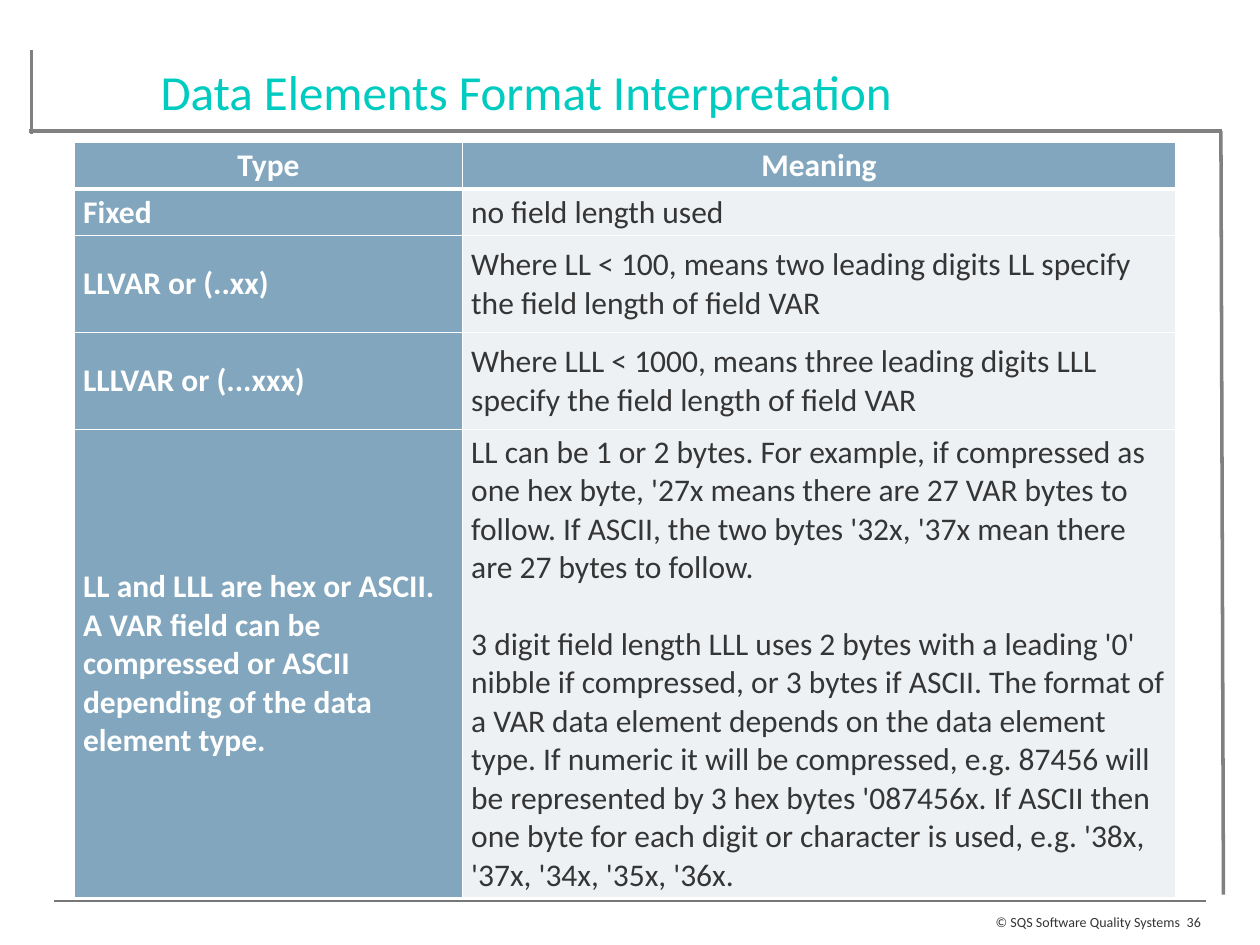
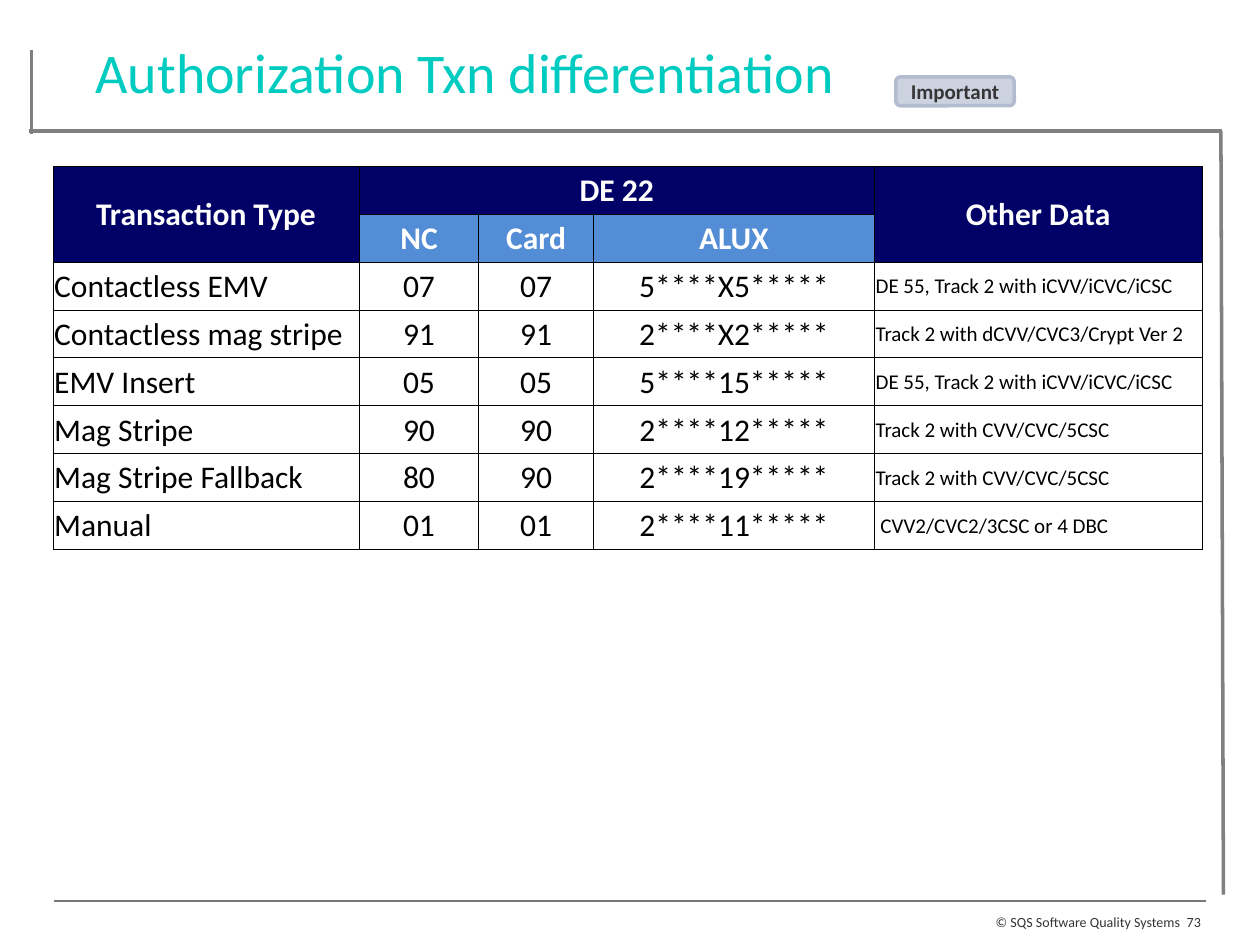
from collections import namedtuple

from lxml import etree
from pptx import Presentation
from pptx.dml.color import RGBColor
from pptx.enum.shapes import MSO_CONNECTOR, MSO_SHAPE
from pptx.enum.text import MSO_ANCHOR, PP_ALIGN
from pptx.oxml.ns import qn
from pptx.util import Inches, Pt

STRAIGHT = MSO_CONNECTOR.STRAIGHT
ROUNDED = MSO_SHAPE.ROUNDED_RECTANGLE
LEFT, CENTER, RIGHT = PP_ALIGN.LEFT, PP_ALIGN.CENTER, PP_ALIGN.RIGHT
TOP, MIDDLE = MSO_ANCHOR.TOP, MSO_ANCHOR.MIDDLE

WHITE = RGBColor(0xFF, 0xFF, 0xFF)
BLACK = RGBColor(0x00, 0x00, 0x00)
INK = RGBColor(0x35, 0x35, 0x35)
TURQUOISE = RGBColor(0x00, 0xCB, 0xC0)
FRAME_GREY = RGBColor(0x80, 0x80, 0x80)
RULE_GREY = RGBColor(0x77, 0x77, 0x77)
STEEL = RGBColor(0x81, 0xA6, 0xBD)
MIST = RGBColor(0xED, 0xF1, 0xF4)
NAVY = RGBColor(0x00, 0x00, 0x66)
SKY = RGBColor(0x53, 0x8D, 0xD5)
BADGE_FILL = RGBColor(0xCC, 0xD2, 0xDF)
BADGE_LINE = RGBColor(0xB2, 0xBB, 0xCF)

# The slide is a grid of 100 columns by 75 rows.
SLIDE_WIDTH, SLIDE_HEIGHT = Inches(10), Inches(7.5)
COLUMN, ROW = SLIDE_WIDTH / 100, SLIDE_HEIGHT / 75

FONT = "Calibri"
COPYRIGHT = "© SQS Software Quality Systems"
BORDER_TAGS = ("a:lnL", "a:lnR", "a:lnT", "a:lnB")

Box = namedtuple("Box", "left top width height")

TITLE_BOX = Box(0, 4.4, 83.5, 7.9)
HIGH_TITLE_BOX = Box(0, 2.5, 73.8, 7.8)
FRAME_BOX = Box(2.3, 4, 94.8, 67)
FOOTER_BOX = Box(4.3, 71.5, 91.4, 2.6)
BADGE_BOX = Box(71.1, 6.1, 9.4, 2.3)

FORMAT_TABLE_CORNER = (5.9, 11.3)
FORMAT_COLUMNS = (30.8, 56.6)
FORMAT_ROWS = (3.7, 3.7, 7.7, 7.7, 37.2)
FORMAT_MARGINS = (0.07, 0.03, 0.07, 0.03)
FORMAT_CONTENT = (
    ("Type", "Meaning"),
    ("Fixed", "no field length used"),
    ("LLVAR or (..xx)",
     "Where LL < 100, means two leading digits LL specify the field length "
     "of field VAR"),
    ("LLLVAR or (...xxx)",
     "Where LLL < 1000, means three leading digits LLL specify the field "
     "length of field VAR"),
    ("LL and LLL are hex or ASCII. A VAR field can be compressed or ASCII "
     "depending of the data element type.",
     "LL can be 1 or 2 bytes. For example, if compressed as one hex byte, "
     "'27x means there are 27 VAR bytes to follow. If ASCII, the two bytes "
     "'32x, '37x mean there are 27 bytes to follow.\n"
     "3 digit field length LLL uses 2 bytes with a leading '0' nibble if "
     "compressed, or 3 bytes if ASCII. The format of a VAR data element "
     "depends on the data element type. If numeric it will be compressed, "
     "e.g. 87456 will be represented by 3 hex bytes '087456x. If ASCII then "
     "one byte for each digit or character is used, e.g. '38x, '37x, '34x, "
     "'35x, '36x."),
)

ENTRY_TABLE_CORNER = (4.2, 13.2)
ENTRY_COLUMNS = (24.3, 9.5, 9.1, 22.3, 26)
ENTRY_MARGINS = (0.01, 0.01, 0.01, 0)
ENTRY_HEADER_ROWS = 2
ENTRY_MERGES = ((0, 0, 1, 0), (0, 1, 0, 3), (0, 4, 1, 4))
ENTRY_CONTENT = (
    ("Transaction Type", "DE 22", "", "", "Other Data"),
    ("", "NC", "Card", "ALUX", ""),
    ("Contactless EMV", "07", "07", "5****X5*****",
     "DE 55, Track 2 with iCVV/iCVC/iCSC"),
    ("Contactless mag stripe", "91", "91", "2****X2*****",
     "Track 2 with dCVV/CVC3/Crypt Ver 2"),
    ("EMV Insert", "05", "05", "5****15*****",
     "DE 55, Track 2 with iCVV/iCVC/iCSC"),
    ("Mag Stripe", "90", "90", "2****12*****", "Track 2 with CVV/CVC/5CSC"),
    ("Mag Stripe Fallback", "80", "90", "2****19*****",
     "Track 2 with CVV/CVC/5CSC"),
    ("Manual", "01", "01", "2****11*****", " CVV2/CVC2/3CSC or 4 DBC"),
)
ENTRY_ROWS = (3.8,) * len(ENTRY_CONTENT)


def place(box):
    """Turn a box on the grid into slide lengths."""
    return (round(box.left * COLUMN), round(box.top * ROW),
            round(box.width * COLUMN), round(box.height * ROW))


def set_margins(target, margins):
    for side, margin in zip(("left", "top", "right", "bottom"), margins):
        setattr(target, f"margin_{side}", Inches(margin))


def write_text(frame, text, size, color, align=LEFT, bold=False, spacing=1.0, gap=0):
    """Write one paragraph a line of text, with a gap in points between them."""
    font_format = {"name": FONT, "size": Pt(size), "bold": bold}
    for index, line in enumerate(text.split("\n")):
        paragraph = frame.add_paragraph() if index else frame.paragraphs[0]
        paragraph.alignment = align
        paragraph.line_spacing = spacing
        if index:
            paragraph.space_before = Pt(gap)
        run = paragraph.add_run()
        run.text = line
        for name, value in font_format.items():
            setattr(run.font, name, value)
        run.font.color.rgb = color


def add_text(slide, box, text, margins=(0.1, 0.05, 0.1, 0.05), **text_format):
    frame = slide.shapes.add_textbox(*place(box)).text_frame
    frame.word_wrap = True
    frame.vertical_anchor = TOP
    set_margins(frame, margins)
    write_text(frame, text, **text_format)


def add_line(slide, start, end, color, width):
    (x1, y1), (x2, y2) = start, end
    line = slide.shapes.add_connector(
        STRAIGHT, round(x1 * COLUMN), round(y1 * ROW),
        round(x2 * COLUMN), round(y2 * ROW))
    line.line.color.rgb = color
    line.line.width = Pt(width)
    etree.SubElement(line._element.spPr, qn("a:effectLst"))


def add_frame(slide, box):
    """Draw the grey rule under the title with its left and right arms."""
    right, rule = box.left + box.width, box.top + 6.4
    arms = (
        ((box.left, rule), (right - 0.1, rule)),
        ((box.left + 0.2, rule + 0.2), (box.left + 0.2, box.top)),
        ((right - 0.2, rule), (right, box.top + box.height)),
    )
    for start, end in arms:
        add_line(slide, start, end, FRAME_GREY, 2)


def add_footer(slide, box, number):
    number_width, text_top = 1.9, box.top + 1.1
    right = box.left + box.width
    add_line(slide, (box.left, box.top), (right, box.top), RULE_GREY, 0.75)
    parts = (
        (COPYRIGHT, box.left, box.width - number_width - 0.1, RIGHT),
        (str(number), right - number_width, number_width, CENTER),
    )
    for text, left, width, align in parts:
        add_text(slide, Box(left, text_top, width, 1.5), text, (0, 0, 0, 0),
                 size=8, color=INK, align=align, spacing=0.95)


def add_badge(slide, box, text):
    badge = slide.shapes.add_shape(ROUNDED, *place(box))
    badge.shadow.inherit = False
    badge.fill.solid()
    badge.fill.fore_color.rgb = BADGE_FILL
    badge.line.color.rgb = BADGE_LINE
    badge.line.width = Pt(2)
    badge.text_frame.vertical_anchor = MIDDLE
    set_margins(badge.text_frame, (0, 0, 0, 0))
    write_text(badge.text_frame, text, 12, INK, CENTER, bold=True)


def set_borders(cell, color, widths):
    """Draw the left, right, top and bottom borders, widths in points."""
    properties = cell._tc.get_or_add_tcPr()
    for tag, width in zip(BORDER_TAGS, widths):
        border = etree.SubElement(properties, qn(tag), w=str(Pt(width)))
        fill = etree.SubElement(border, qn("a:solidFill"))
        etree.SubElement(fill, qn("a:srgbClr"), val=str(color))


def add_grid_table(slide, corner, columns, rows):
    box = Box(*corner, sum(columns), sum(rows))
    table = slide.shapes.add_table(len(rows), len(columns), *place(box)).table
    for column, width in zip(table.columns, columns):
        column.width = round(width * COLUMN)
    for row, height in zip(table.rows, rows):
        row.height = round(height * ROW)
    return table


def fill_cell(cell, text, fill, margins, **text_format):
    cell.vertical_anchor = MIDDLE
    set_margins(cell, margins)
    if fill is None:
        cell.fill.background()
    else:
        cell.fill.solid()
        cell.fill.fore_color.rgb = fill
    if text:
        write_text(cell.text_frame, text, **text_format)


def add_format_table(slide, corner):
    table = add_grid_table(slide, corner, FORMAT_COLUMNS, FORMAT_ROWS)
    for row, texts in enumerate(FORMAT_CONTENT):
        for column, text in enumerate(texts):
            cell = table.cell(row, column)
            heading = row == 0 or column == 0
            set_borders(cell, WHITE, (1, 1, 3 if row == 1 else 1, 3 if row == 0 else 1))
            fill_cell(cell, text, STEEL if heading else MIST, FORMAT_MARGINS,
                      size=18, color=WHITE if heading else INK, bold=heading,
                      align=LEFT if row else CENTER, gap=22)


def add_entry_table(slide, corner):
    table = add_grid_table(slide, corner, ENTRY_COLUMNS, ENTRY_ROWS)
    last = len(ENTRY_COLUMNS) - 1
    for row, texts in enumerate(ENTRY_CONTENT):
        heading = row < ENTRY_HEADER_ROWS
        for column, text in enumerate(texts):
            cell = table.cell(row, column)
            outer = column in (0, last)
            fill = None
            if heading:
                fill = NAVY if row == 0 or outer else SKY
            set_borders(cell, BLACK, (0.5,) * 4)
            fill_cell(cell, text, fill, ENTRY_MARGINS,
                      size=12 if column == last and not heading else 18,
                      color=WHITE if heading else BLACK, bold=heading,
                      align=LEFT if outer and not heading else CENTER)
    for top, left, bottom, right in ENTRY_MERGES:
        table.cell(top, left).merge(table.cell(bottom, right))


def add_base_slide(presentation, title, title_box, title_size, number):
    """Add a blank slide with the shared title, frame and footer."""
    slide = presentation.slides.add_slide(presentation.slide_layouts[6])
    add_text(slide, title_box, title, size=title_size, color=TURQUOISE, align=CENTER)
    add_frame(slide, FRAME_BOX)
    add_footer(slide, FOOTER_BOX, number)
    return slide


def add_format_slide(presentation):
    slide = add_base_slide(
        presentation, "Data Elements Format Interpretation", TITLE_BOX, 28, 36)
    add_format_table(slide, FORMAT_TABLE_CORNER)


def add_entry_slide(presentation):
    slide = add_base_slide(
        presentation, "Authorization Txn differentiation", HIGH_TITLE_BOX, 32, 73)
    add_badge(slide, BADGE_BOX, "Important")
    add_entry_table(slide, ENTRY_TABLE_CORNER)


def main():
    presentation = Presentation()
    presentation.slide_width = SLIDE_WIDTH
    presentation.slide_height = SLIDE_HEIGHT
    add_format_slide(presentation)
    add_entry_slide(presentation)
    presentation.save("out.pptx")


if __name__ == "__main__":
    main()
